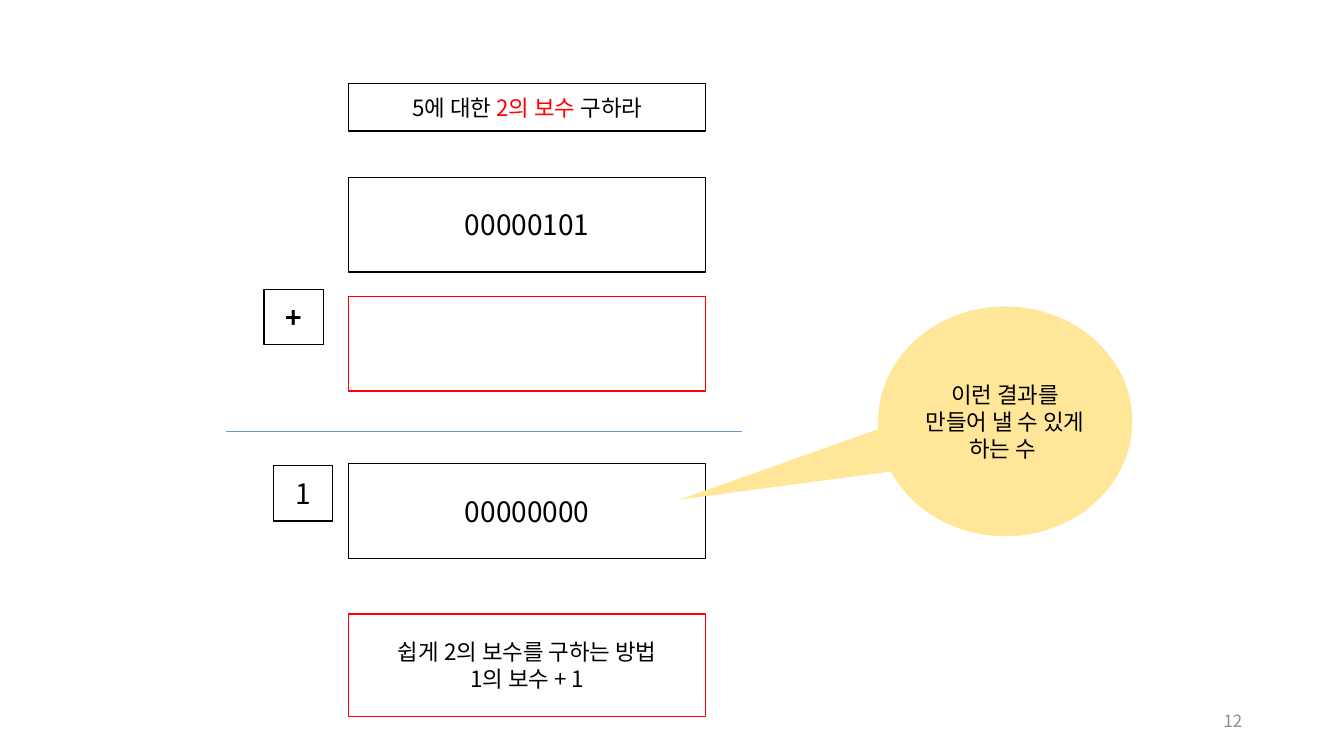
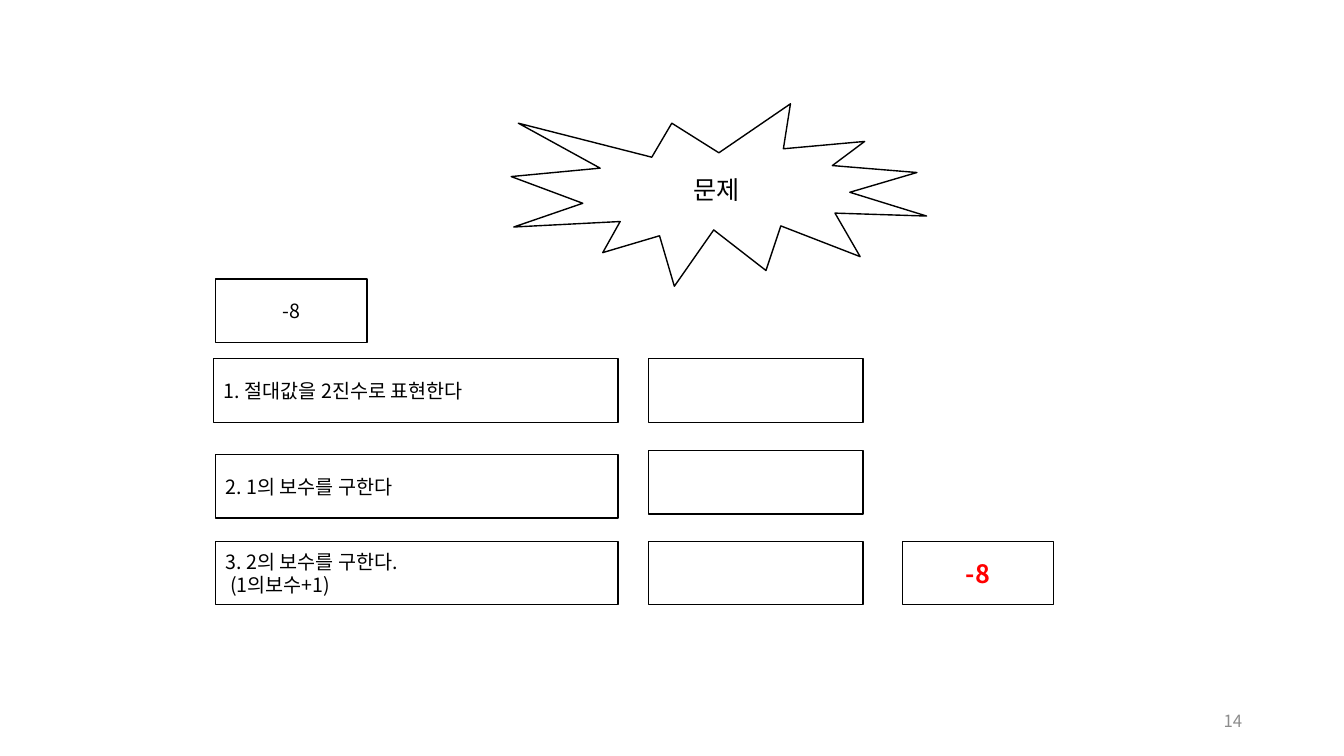
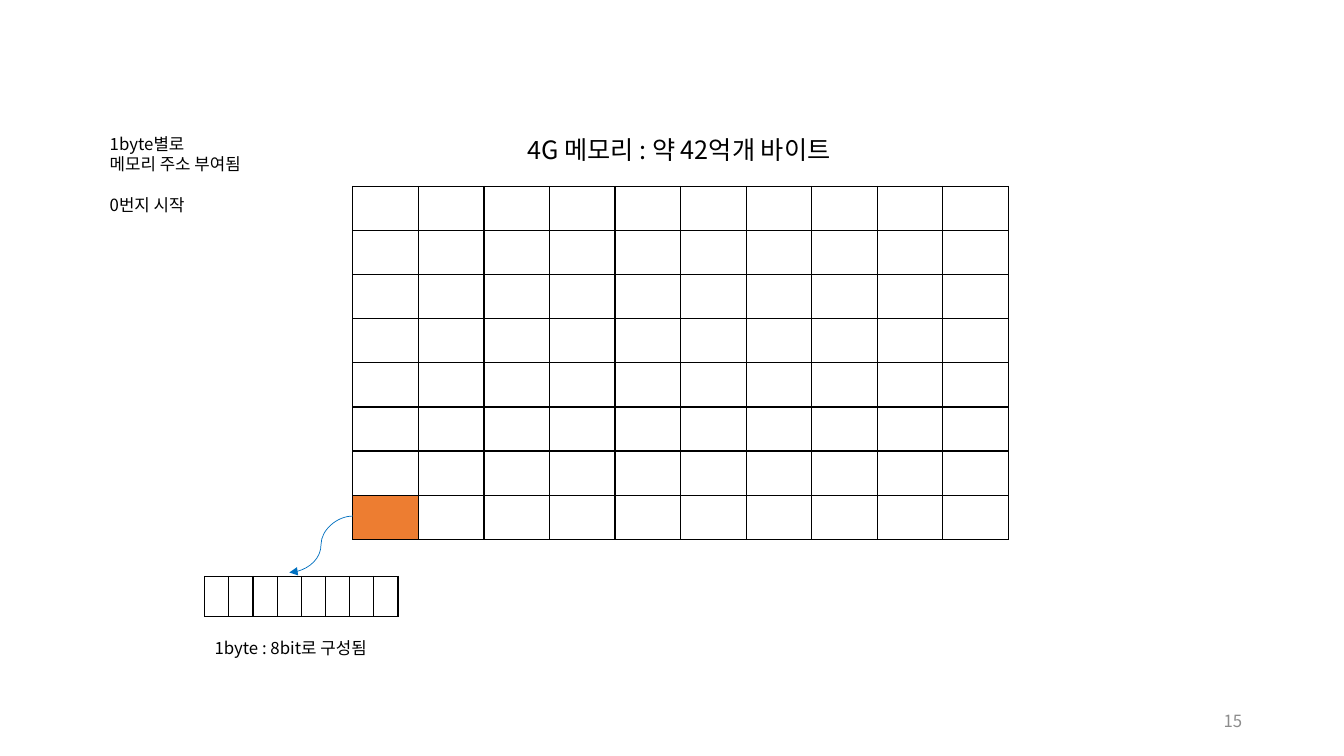
from lxml.etree import SubElement
from pptx import Presentation
from pptx.dml.color import RGBColor
from pptx.enum.shapes import MSO_CONNECTOR as LINE, MSO_SHAPE as SHAPE
from pptx.enum.text import MSO_ANCHOR as ANCHOR, PP_ALIGN as ALIGN
from pptx.oxml.ns import qn
from pptx.util import Inches, Pt

FONT = "Noto Sans CJK KR"
BLACK, WHITE, RED, GRAY = "000000", "FFFFFF", "FF0000", "8C8C8C"
YELLOW, ORANGE, LIGHT_BLUE, BLUE = "FFE699", "ED7D31", "5B9BD5", "0070C0"


def rgb(color):
    return RGBColor.from_string(color)


def inches(*lengths):
    return [Inches(n) for n in lengths]


class Deck:
    """Holds the presentation, its style and the current slide."""

    def __init__(self):
        self.prs = Presentation()
        self.prs.slide_width, self.prs.slide_height = inches(13.33, 7.5)
        self.slide = None

    def new_slide(self, number):
        self.slide = self.prs.slides.add_slide(self.prs.slide_layouts[6])
        self.text(9.42, 6.95, 3, 0.4, str(number), color=GRAY,
                  align=ALIGN.RIGHT, anchor=ANCHOR.MIDDLE)

    def set_lines(self, tf, text, size, color, align, bold=False):
        """Set one paragraph per line; parts between asterisks are red."""
        for i, line in enumerate(text.split("\n")):
            p = tf.add_paragraph() if i else tf.paragraphs[0]
            p.alignment = align
            for j, part in enumerate(line.split("*")):
                r = p.add_run()
                r.text = part
                r.font.name, r.font.size, r.font.bold = FONT, Pt(size), bold
                r.font.color.rgb = rgb(RED if j % 2 else color)
                SubElement(r._r.get_or_add_rPr(), qn("a:ea"), typeface=FONT)

    def text(self, x, y, w, h, text, size=12, color=BLACK, align=ALIGN.LEFT,
             anchor=ANCHOR.TOP, wrap=True):
        tf = self.slide.shapes.add_textbox(*inches(x, y, w, h)).text_frame
        tf.word_wrap, tf.vertical_anchor = wrap, anchor
        self.set_lines(tf, text, size, color, align)
        return tf

    def box(self, x, y, w, h, text="", size=16, color=BLACK, bold=False,
            align=ALIGN.CENTER, kind=SHAPE.RECTANGLE, fill=WHITE, line=BLACK):
        sp = self.slide.shapes.add_shape(kind, *inches(x, y, w, h))
        sp.shadow.inherit = False
        sp.fill.solid()
        sp.fill.fore_color.rgb = rgb(fill)
        if line:
            sp.line.color.rgb = rgb(line)
            sp.line.width = Pt(1)
        else:
            sp.line.fill.background()
        if text:
            sp.text_frame.vertical_anchor = ANCHOR.MIDDLE
            self.set_lines(sp.text_frame, text, size, color, align, bold)
        return sp

    def line(self, x1, y1, x2, y2, color, kind=LINE.STRAIGHT, arrow=False):
        cx = self.slide.shapes.add_connector(kind, *inches(x1, y1, x2, y2))
        cx.line.color.rgb = rgb(color)
        cx.line.width = Pt(0.5)
        sp_pr = cx._element.spPr
        if arrow:
            SubElement(sp_pr.find(qn("a:ln")), qn("a:tailEnd"), type="triangle")
        SubElement(sp_pr, qn("a:effectLst"))

    def grid(self, x, y, w, h, rows, cols):
        """Add an empty table of equal white cells with black borders."""
        frame = self.slide.shapes.add_table(rows, cols, *inches(x, y, w, h))
        table = frame.table
        table.first_row = table.horz_banding = False
        for cell in table.iter_cells():
            cell.margin_top = cell.margin_bottom = 0
            tc_pr = cell._tc.get_or_add_tcPr()
            for side in ("lnL", "lnR", "lnT", "lnB"):
                ln = SubElement(tc_pr, qn(f"a:{side}"), w=str(Pt(1)))
                solid = SubElement(ln, qn("a:solidFill"))
                SubElement(solid, qn("a:srgbClr"), val=BLACK)
            cell.fill.solid()
            cell.fill.fore_color.rgb = rgb(WHITE)
        return table


def complement_slide(deck):
    deck.new_slide(12)
    x, w, h = 3.46, 3.54, 0.94
    deck.box(x, 1.76, w, h, "00000101", 20)
    deck.box(x, 0.83, w, 0.47, "5에 대한 *2의 보수 *구하라")
    deck.box(x, 2.94, w, h, line=RED)
    deck.box(2.62, 2.87, 0.59, 0.55, "+", 20, bold=True)
    deck.line(2.24, 4.28, 7.36, 4.28, LIGHT_BLUE)
    deck.box(x, 4.6, w, h, "00000000", 20)
    deck.box(2.71, 4.62, 0.59, 0.55, "1", 20)
    callout = deck.box(8.71, 3.04, 2.52, 2.28, "이런 결과를 만들어 낼 수 있게 하는 수 ",
                       kind=SHAPE.OVAL_CALLOUT, fill=YELLOW, line=None)
    callout.adjustments[0], callout.adjustments[1] = -1.28, 0.34
    deck.box(x, 6.09, w, 1.02, "쉽게 2의 보수를 구하는 방법\n1의 보수 + 1", line=RED)


def exercise_slide(deck):
    deck.new_slide(14)
    h = 0.63
    deck.box(2.14, 2.77, 1.5, h, "-8", 14)
    steps = [
        (2.12, 3.56, 3.56, "1. 절대값을 2진수로 표현한다"),
        (2.14, 4.51, 4.47, "2. 1의 보수를 구한다"),
        (2.14, 5.37, 5.37, "3. 2의 보수를 구한다.\n (1의보수+1)"),
    ]
    for x, y, answer_y, step in steps:
        deck.box(x, y, 6.13 - x, h, step, 14, align=ALIGN.LEFT)
        deck.box(6.43, answer_y, 2.13, h)
    deck.box(8.95, 5.37, 1.5, h, "-8", 18, RED, bold=True)
    deck.box(5.07, 1.03, 4.12, 1.81, "문제", 18, kind=SHAPE.EXPLOSION1)


def memory_slide(deck):
    deck.new_slide(15)
    tf = deck.text(0.99, 1.28, 2.87, 0.91, "1byte별로\n메모리 주소 부여됨\n0번지 시작")
    tf.paragraphs[-1].space_before = Pt(14.6)
    memory = deck.grid(3.5, 1.85, 6.5, 3.5, 8, 10)
    memory.cell(7, 0).fill.fore_color.rgb = rgb(ORANGE)
    deck.line(3.5, 5.12, 2.87, 5.68, BLUE, LINE.CURVE, arrow=True)
    deck.grid(2.03, 5.72, 1.92, 0.4, 1, 8)
    deck.text(5.13, 1.28, 3.62, 0.4, "4G 메모리 : 약 42억개 바이트", 18, wrap=False)
    deck.text(2.03, 6.28, 1.82, 0.5, "1byte : 8bit로 구성됨")


def main():
    deck = Deck()
    complement_slide(deck)
    exercise_slide(deck)
    memory_slide(deck)
    deck.prs.save("out.pptx")


if __name__ == "__main__":
    main()
